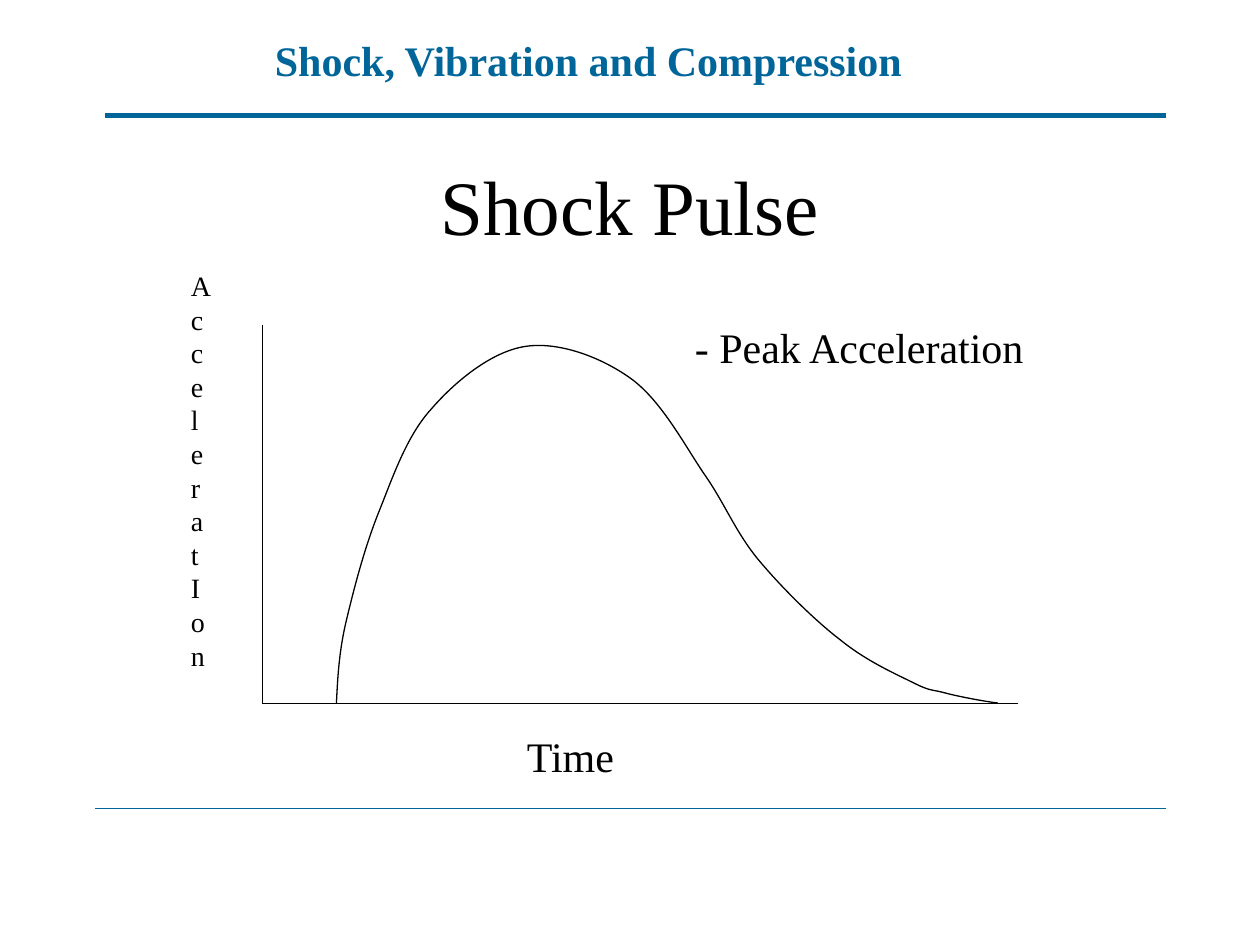
from typing import NamedTuple

from lxml import etree
from pptx import Presentation
from pptx import util as u
from pptx.dml.color import RGBColor
from pptx.enum import shapes, text
from pptx.oxml.ns import qn

COLORS = {"brand": "006699", "ink": "000000"}
FONT = "Times New Roman"
GRID = 12  # layout units per inch

Point = tuple[float, float]


class Rule(NamedTuple):
    """A straight line, in grid units."""
    start: Point
    end: Point
    color: str
    width: float


class Label(NamedTuple):
    """A text box: left, top, width and height in grid units."""
    content: str
    box: tuple[float, float, float, float]
    options: dict


RULES = [
    Rule((10, 11), (111, 11), "brand", 3),  # header
    Rule((9, 77), (111, 77), "brand", 0.75),  # footer
    Rule((25, 31), (25, 67), "ink", 0.75),  # acceleration axis
    Rule((25, 67), (97, 67), "ink", 0.75),  # time axis
]

LABELS = [
    Label("Shock, Vibration and Compression", (25, 2.7, 63.4, 6),
          {"color": "brand", "bold": True}),
    Label("Shock Pulse", (9, 12, 102, 15),
          {"size": 44, "align": text.PP_ALIGN.CENTER,
           "anchor": text.MSO_ANCHOR.MIDDLE}),
    Label("Time", (49, 69, 21, 6), {}),
    Label("\n".join("AcceleratIon"), (17, 25, 4.3, 43),
          {"size": 16, "wrap": False}),
    Label("- Peak Acceleration", (65, 30, 39, 6), {}),
]

# Inches; each Bezier segment has two control points and an end point
PULSE_START = (2.67, 5.58)
PULSE_CURVES = [
    ((2.68, 5.38), (2.69, 5.17), (2.75, 4.92)),
    ((2.81, 4.67), (2.89, 4.36), (3, 4.08)),
    ((3.11, 3.81), (3.22, 3.47), (3.42, 3.25)),
    ((3.61, 3.03), (3.9, 2.79), (4.17, 2.75)),
    ((4.43, 2.71), (4.76, 2.83), (5, 3)),
    ((5.24, 3.17), (5.42, 3.51), (5.58, 3.75)),
    ((5.75, 3.99), (5.82, 4.19), (6, 4.42)),
    ((6.18, 4.64), (6.46, 4.92), (6.67, 5.08)),
    ((6.88, 5.25), (7.11, 5.35), (7.25, 5.42)),
    ((7.39, 5.49), (7.39, 5.47), (7.5, 5.5)),
    ((7.61, 5.53), (7.83, 5.57), (7.92, 5.58)),
]


def rgb(name: str) -> RGBColor:
    return RGBColor.from_string(COLORS[name])


def on_grid(values: tuple) -> list[u.Length]:
    return [u.Inches(value / GRID) for value in values]


def add_text(slide, content: str, box: tuple, *, size: float = 24,
             color: str = "ink", bold: bool = False, wrap: bool = True,
             align=text.PP_ALIGN.LEFT, anchor=text.MSO_ANCHOR.TOP) -> None:
    shape = slide.shapes.add_textbox(*on_grid(box))
    frame = shape.text_frame
    frame.word_wrap = wrap
    frame.vertical_anchor = anchor
    frame.text = content
    for paragraph in frame.paragraphs:
        paragraph.alignment = align
        font = paragraph.runs[0].font
        font.name, font.size, font.bold = FONT, u.Pt(size), bold
        font.color.rgb = rgb(color)


def add_rule(slide, rule: Rule) -> None:
    connector = slide.shapes.add_connector(
        shapes.MSO_CONNECTOR.STRAIGHT, *on_grid(rule.start + rule.end))
    connector.line.color.rgb = rgb(rule.color)
    connector.line.width = u.Pt(rule.width)
    etree.SubElement(connector._element.spPr, qn("a:effectLst"))


def add_pulse(slide, start: Point, curves: list) -> None:
    builder = slide.shapes.build_freeform(*map(u.Inches, start))
    for curve in curves:
        builder.add_line_segments(
            [(u.Inches(x), u.Inches(y)) for x, y in curve], close=False)
    shape = builder.convert_to_shape()

    # Join every three line segments into one Bezier curve
    segments = list(shape._element.iter(qn("a:lnTo")))
    for first in range(0, len(segments), 3):
        trio = segments[first:first + 3]
        bezier = etree.SubElement(trio[0].getparent(), qn("a:cubicBezTo"))
        for segment in trio:
            bezier.append(segment[0])
            segment.getparent().remove(segment)

    shape.shadow.inherit = False
    shape.fill.background()
    shape.line.color.rgb = rgb("ink")
    shape.line.width = u.Pt(0.75)


def main() -> None:
    presentation = Presentation()
    presentation.slide_width = u.Inches(10)
    presentation.slide_height = u.Inches(7.5)
    slide = presentation.slides.add_slide(presentation.slide_layouts[6])

    # Header and footer rules, chart axes
    for rule in RULES:
        add_rule(slide, rule)

    # Shock pulse curve
    add_pulse(slide, PULSE_START, PULSE_CURVES)

    # Titles and axis labels
    for label in LABELS:
        add_text(slide, label.content, label.box, **label.options)

    presentation.save("out.pptx")


if __name__ == "__main__":
    main()
